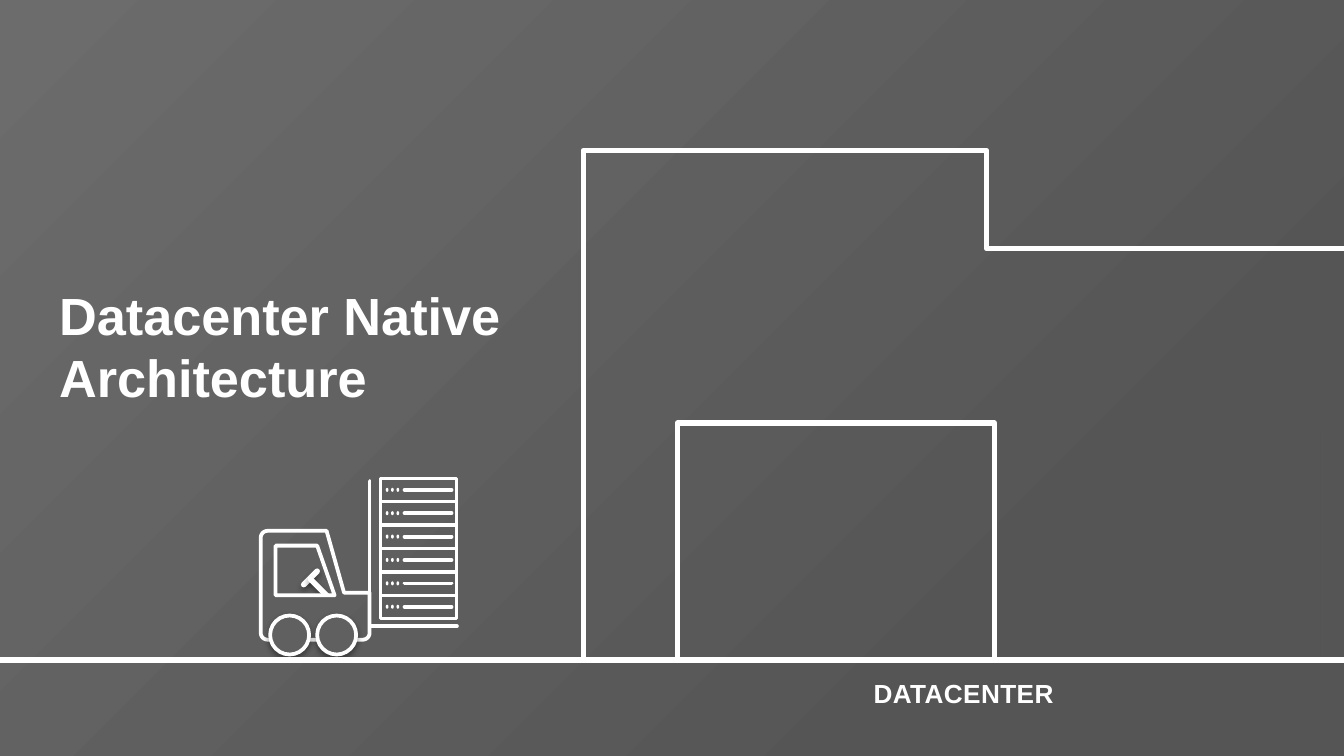
"""Build the datacenter title slide: a warehouse outline and a forklift carrying servers."""
from math import cos, pi, sin

from pptx import Presentation
from pptx.dml.color import RGBColor
from pptx.enum.shapes import MSO_CONNECTOR, MSO_SHAPE
from pptx.enum.text import MSO_ANCHOR, PP_ALIGN
from pptx.oxml import parse_xml
from pptx.util import Inches, Pt

RECTANGLE, OVAL = MSO_SHAPE.RECTANGLE, MSO_SHAPE.OVAL
STRAIGHT = MSO_CONNECTOR.STRAIGHT
TOP, MIDDLE = MSO_ANCHOR.TOP, MSO_ANCHOR.MIDDLE
LEFT, CENTER = PP_ALIGN.LEFT, PP_ALIGN.CENTER
COLORS = {"white": "FFFFFF", "dark": "545554", "light": "6B6C6B", "wheel": "5F605F"}
DRAWING = 'xmlns:a="http://schemas.openxmlformats.org/drawingml/2006/main"'
SLIDE = 'xmlns:p="http://schemas.openxmlformats.org/presentationml/2006/main"'
CELL = Inches(0.01)
COLUMNS, ROWS = 1000, 562.5
GROUND = 491
WHITE = RGBColor.from_string(COLORS["white"])


def finish(shape, width=0, fill=None, shadow=False):
    """Set fill, white outline and shadow; fill is a colour name, "background" or None."""
    if fill == "background":
        shape.element.set("useBgFill", "1")
    elif fill:
        shape.fill.solid()
        shape.fill.fore_color.rgb = RGBColor.from_string(COLORS[fill])
    elif hasattr(shape, "fill"):
        shape.fill.background()
    if width:
        shape.line.color.rgb = WHITE
        shape.line.width = Pt(width)
        shape.line._get_or_add_ln().set("cap", "rnd")
    else:
        shape.line.fill.background()
    effect = (
        '<a:outerShdw blurRad="39370" dist="20320" dir="5400000" rotWithShape="0">'
        '<a:srgbClr val="000000"><a:alpha val="38000"/></a:srgbClr></a:outerShdw>'
    ) if shadow else ""
    shape.element.spPr.append(parse_xml(f"<a:effectLst {DRAWING}>{effect}</a:effectLst>"))


def write(shape, text, size, anchor, alignment, spacing=0):
    """Put one bold white run into a shape."""
    frame = shape.text_frame
    frame.vertical_anchor = anchor
    frame.margin_left = frame.margin_right = frame.margin_top = frame.margin_bottom = 7 * CELL
    paragraph = frame.paragraphs[0]
    paragraph.alignment = alignment
    run = paragraph.add_run()
    run.text = text
    run.font.name = "Arial"
    run.font.size = Pt(size)
    run.font.bold = True
    run.font.color.rgb = WHITE
    if spacing:
        run.font._element.set("spc", str(spacing))


presentation = Presentation()
presentation.slide_width = int(COLUMNS * CELL)
presentation.slide_height = int(ROWS * CELL)
slide = presentation.slides.add_slide(presentation.slide_layouts[5])
shapes = slide.shapes
slide.element.cSld.insert(0, parse_xml(
    f'<p:bg {SLIDE} {DRAWING}><p:bgPr><a:gradFill><a:gsLst>'
    f'<a:gs pos="21000"><a:srgbClr val="{COLORS["dark"]}"/></a:gs>'
    f'<a:gs pos="100000"><a:srgbClr val="{COLORS["light"]}"/></a:gs></a:gsLst>'
    '<a:path path="circle"><a:fillToRect l="100000" t="100000"/></a:path>'
    '</a:gradFill><a:effectLst/></p:bgPr></p:bg>'))

building = shapes.build_freeform(434, 112, CELL)
building.add_line_segments(
    [(734, 112), (734, 185), (1049, 185), (1049, GROUND), (434, GROUND)], close=True)
finish(building.convert_to_shape(), 3)
door = shapes.add_shape(RECTANGLE, 504 * CELL, 315 * CELL, 236 * CELL, 176 * CELL)
finish(door, 3)

forklift = shapes.add_group_shape().shapes
fork = forklift.build_freeform(340, 466, CELL)
fork.add_line_segments([(275, 466), (275, 358)], close=False)
finish(fork.convert_to_shape(), 2)
for x1, y1, x2, y2 in [(226, 435, 236, 425), (231, 431, 245, 445)]:
    steering = forklift.add_connector(STRAIGHT, x1 * CELL, y1 * CELL, x2 * CELL, y2 * CELL)
    finish(steering, 3, shadow=True)

outline = [(243, 395), (256, 441), (275, 441)]
for center_x, center_y, start in [(270, 471, 0), (199, 471, 90), (199, 400, 180)]:
    for step in range(7):
        angle = (start + 15 * step) * pi / 180
        outline.append((center_x + 5 * cos(angle), center_y + 5 * sin(angle)))
cab = forklift.build_freeform(199 * 100, 395 * 100, CELL / 100)
cab.add_line_segments([(x * 100, y * 100) for x, y in outline], close=True)
cab.move_to(20500, 40600)
cab.add_line_segments([(20500, 44300), (24900, 44300), (23600, 40600)], close=True)
finish(cab.convert_to_shape(), 2, "background")
for left in (201, 236):
    wheel = forklift.add_shape(OVAL, left * CELL, 458 * CELL, 29 * CELL, 29 * CELL)
    finish(wheel, 2, "wheel", shadow=True)

for row in range(6):
    top = 443 - 17.4 * row
    server = forklift.add_shape(
        RECTANGLE, 283 * CELL, int(top * CELL), 57 * CELL, int(17.4 * CELL))
    finish(server, 1.75, "background")
    middle = int((top + 8.5) * CELL)
    slot = forklift.add_connector(STRAIGHT, 301 * CELL, middle, 336 * CELL, middle)
    finish(slot, 2)
    for column in range(3):
        light = forklift.add_shape(
            OVAL, (287 + 4 * column) * CELL, int((top + 7) * CELL), 2 * CELL, 3 * CELL)
        finish(light, fill="white")

for left, top, width, height in [(0, 492, COLUMNS, 70.5), (743, 317, 241, 172)]:
    cover = shapes.add_shape(
        RECTANGLE, left * CELL, top * CELL, width * CELL, int(height * CELL))
    finish(cover, fill="background")
ground = shapes.add_connector(STRAIGHT, 1023 * CELL, GROUND * CELL, -10 * CELL, GROUND * CELL)
finish(ground, 3)

title = shapes.title
title.left, title.top, title.width, title.height = 37 * CELL, 204 * CELL, 360 * CELL, 154 * CELL
write(title, "Datacenter Native", 28, TOP, LEFT)
subtitle = shapes.add_textbox(37 * CELL, 252 * CELL, 252 * CELL, 57 * CELL)
write(subtitle, "Architecture", 28, MIDDLE, LEFT)
caption = shapes.add_textbox(434 * CELL, 499 * CELL, 566 * CELL, 34 * CELL)
caption.text_frame.word_wrap = True
write(caption, "DATACENTER", 14, MIDDLE, CENTER, 20)

presentation.save("out.pptx")
